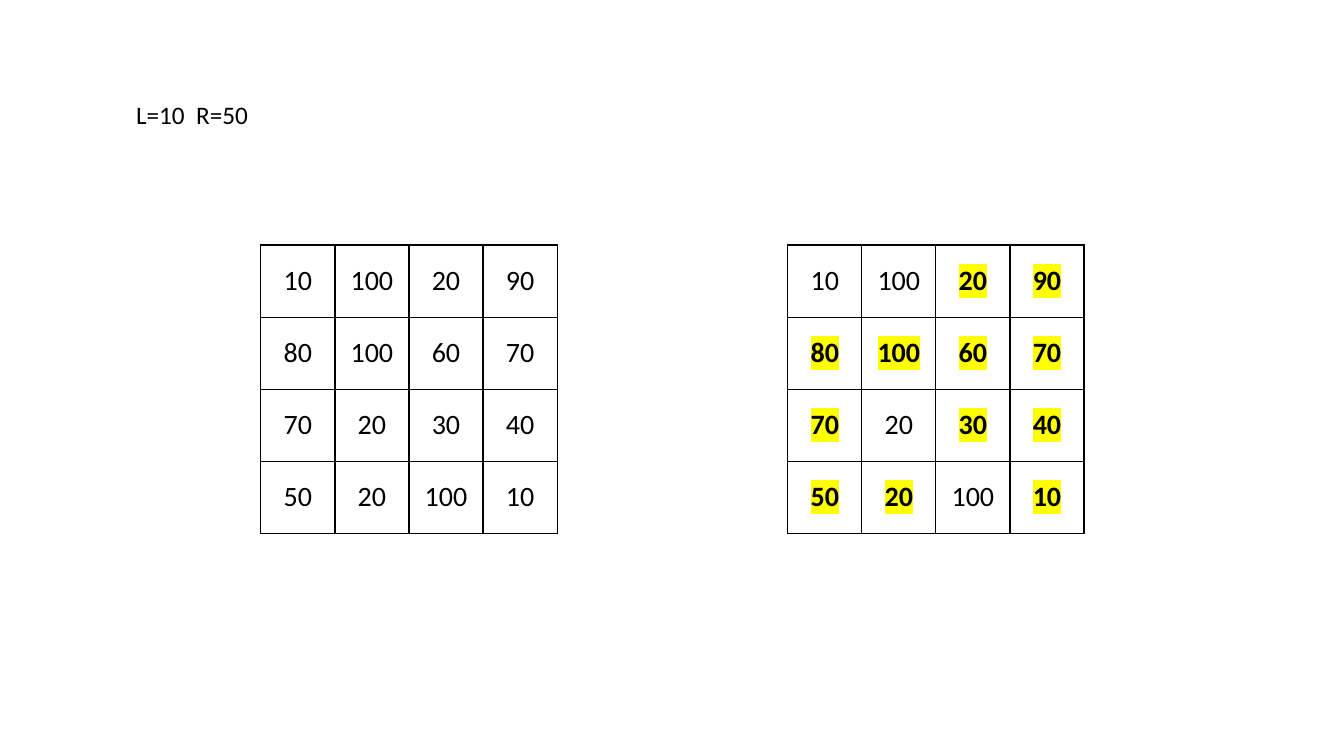
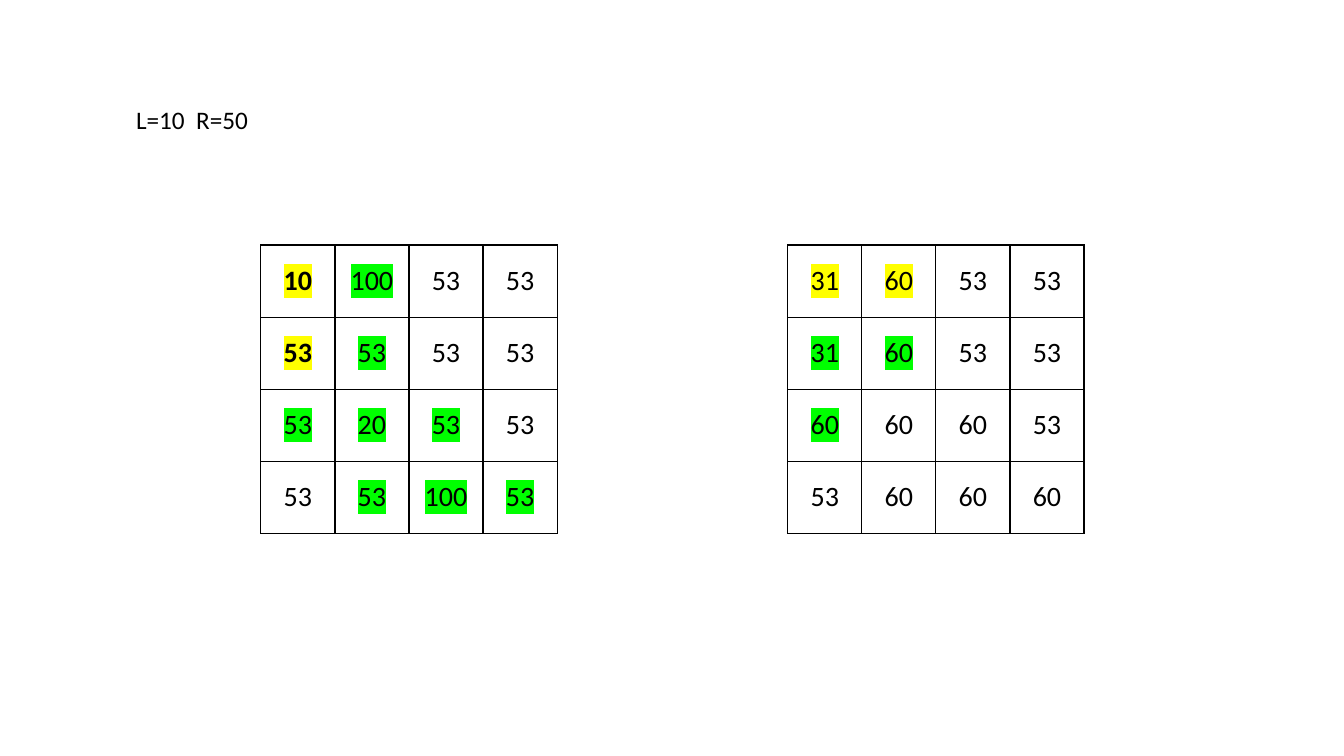
from dataclasses import dataclass

from lxml.etree import SubElement as Sub
from pptx import Presentation
from pptx.dml.color import RGBColor as Rgb
from pptx.enum.text import MSO_ANCHOR as Anchor
from pptx.enum.text import MSO_AUTO_SIZE as Fit
from pptx.enum.text import PP_ALIGN as Align
from pptx.oxml.ns import qn
from pptx.slide import Slide
from pptx.util import Inches, Pt

FONT = "Calibri"
BLACK, WHITE, YELLOW, LIME = "000000", "FFFFFF", "FFFF00", "00FF00"

# The page grid uses one table cell as its unit.
WIDE, HIGH = 13.33, 7.5
COL, ROW = 2.94 / 4, 2.86 / 4
LEFTS, TOP = (3.52, 10.63), 3.4
HEAD_X, HEAD_W, HEAD_H = 1.7, 6.61, 0.56


@dataclass(frozen=True)
class Mark:
    """The emphasis on one number."""
    light: str = ""
    bold: bool = False


@dataclass(frozen=True)
class Page:
    """A heading, its row on the grid, and two number tables."""
    head: str
    row: float
    grids: tuple[str, str]


PLAIN = Mark()
# The sign after a number tells how it is marked.
MARKS = {"*": Mark(YELLOW, True), "~": Mark(YELLOW), "+": Mark(LIME)}

PAGES = (
    Page("L=10  R=50", 1.31, (
        "10 100 20 90 / 80 100 60 70 / 70 20 30 40 / 50 20 100 10",
        "10 100 20* 90* / 80* 100* 60* 70* / 70* 20 30* 40* / 50* 20* 100 10*",
    )),
    Page("L=10  R=50", 1.38, (
        "10* 100+ 53 53 / 53* 53+ 53 53 / 53+ 20+ 53+ 53 / 53 53+ 100+ 53+",
        "31~ 60~ 53 53 / 31+ 60+ 53 53 / 60+ 60 60 53 / 53 60 60 60",
    )),
)


def hue(code: str) -> Rgb:
    """Turn a hex string into a colour."""
    return Rgb.from_string(code)


def across(cols: float) -> Inches:
    """Turn grid columns into a length."""
    return Inches(cols * COL)


def down(rows: float) -> Inches:
    """Turn grid rows into a length."""
    return Inches(rows * ROW)


def paint(node, code: str) -> None:
    """Add a solid fill to an XML node."""
    Sub(Sub(node, qn("a:solidFill")), qn("a:srgbClr"), val=code)


def add_run(para, text: str, size: int, mark: Mark = PLAIN) -> None:
    """Add one formatted run to a paragraph."""
    run = para.add_run()
    run.text = text
    font = run.font
    font.size, font.bold = Pt(size), mark.bold
    font.color.rgb = hue(BLACK)
    if mark.light:
        light = Sub(run._r.get_or_add_rPr(), qn("a:highlight"))
        Sub(light, qn("a:srgbClr"), val=mark.light)
    font.name = FONT


def add_head(slide: Slide, page: Page) -> None:
    """Place and write the slide's heading."""
    head = slide.shapes.title
    head.left, head.top = across(HEAD_X), down(page.row)
    head.width, head.height = across(HEAD_W), down(HEAD_H)
    frame = head.text_frame
    frame.word_wrap, frame.auto_size = True, Fit.SHAPE_TO_FIT_TEXT
    frame.vertical_anchor = Anchor.TOP
    para = frame.paragraphs[0]
    para.alignment = Align.LEFT
    add_run(para, page.head, 18)


def fill_cell(cell, item: str) -> None:
    """Write one number with its borders, fill and mark."""
    props = cell._tc.get_or_add_tcPr()
    for side in ("lnL", "lnR", "lnT", "lnB"):
        paint(Sub(props, qn(f"a:{side}"), w=str(Pt(1))), BLACK)
    cell.fill.solid()
    cell.fill.fore_color.rgb = hue(WHITE)
    cell.vertical_anchor = Anchor.MIDDLE
    para = cell.text_frame.paragraphs[0]
    para.alignment = Align.CENTER
    add_run(para, item.rstrip("*~+"), 20, MARKS.get(item[-1], PLAIN))


def add_grid(slide: Slide, left: float, text: str) -> None:
    """Draw one table of numbers."""
    rows = [line.split() for line in text.split("/")]
    tall, wide = len(rows), len(rows[0])
    table = slide.shapes.add_table(
        tall, wide, across(left), down(TOP), across(wide), down(tall)).table
    table.first_row = table.horz_banding = False
    for r, row in enumerate(rows):
        for c, item in enumerate(row):
            fill_cell(table.cell(r, c), item)


def main() -> None:
    """Build and save the deck."""
    deck = Presentation()
    deck.slide_width, deck.slide_height = Inches(WIDE), Inches(HIGH)
    for page in PAGES:
        slide = deck.slides.add_slide(deck.slide_layouts.get_by_name("Title Only"))
        add_head(slide, page)
        for left, text in zip(LEFTS, page.grids):
            add_grid(slide, left, text)
    deck.save("out.pptx")


main()
